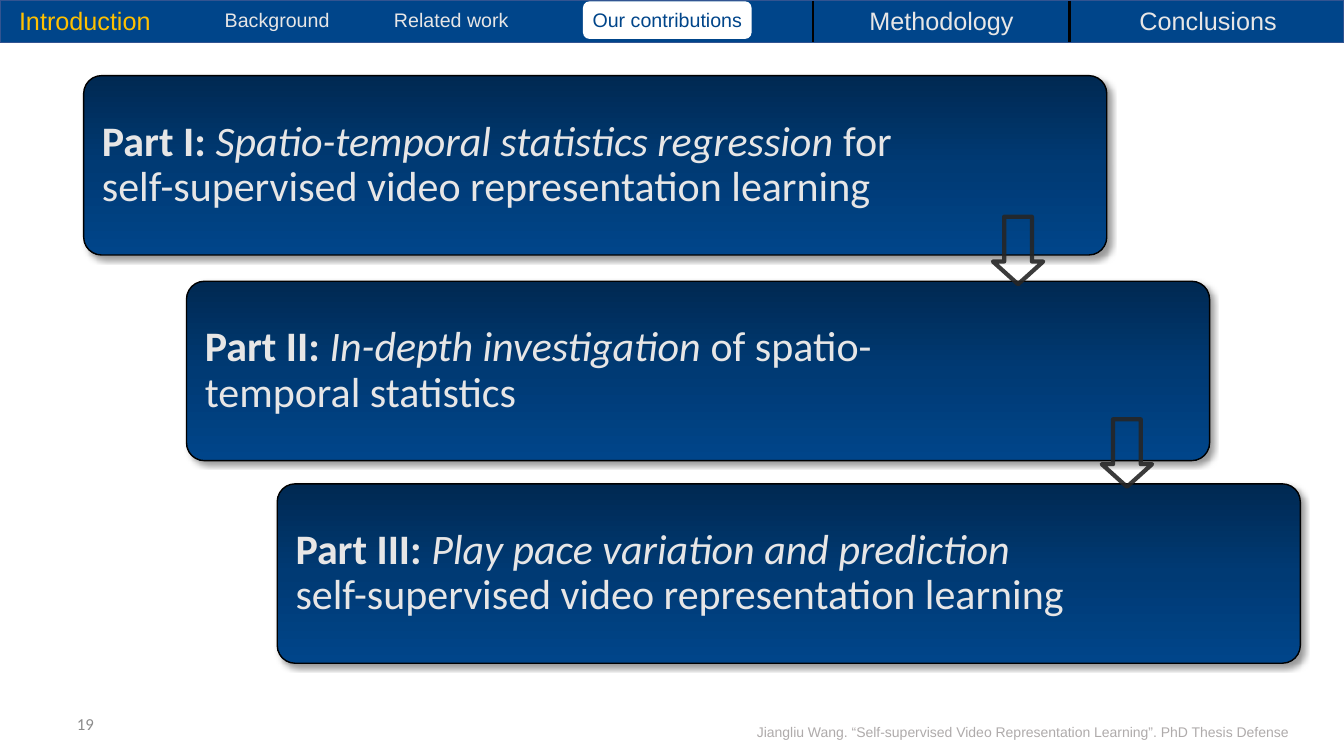
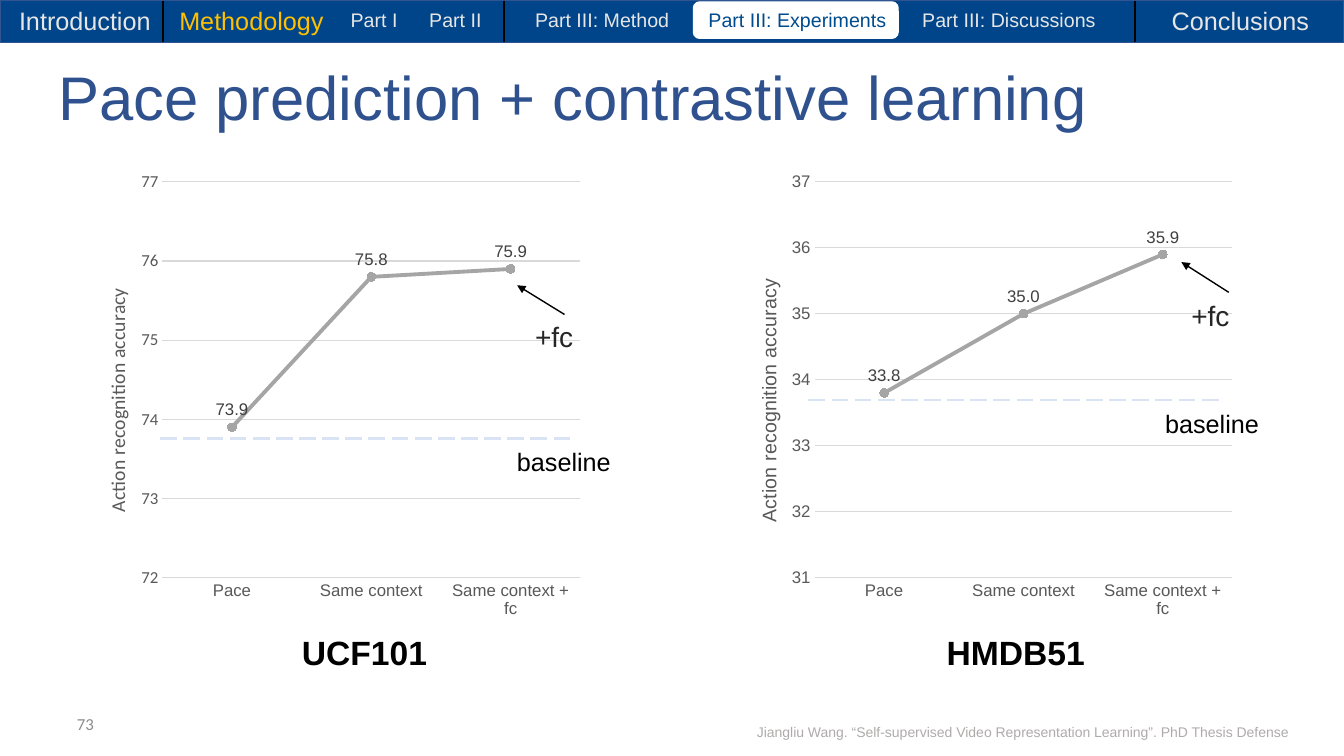
from copy import deepcopy

from lxml.etree import SubElement
from pptx import Presentation
from pptx.chart.data import CategoryChartData
from pptx.dml.color import RGBColor as Rgb
from pptx.enum.chart import XL_CHART_TYPE as ChartType
from pptx.enum.chart import XL_LABEL_POSITION as LabelPos
from pptx.enum.chart import XL_MARKER_STYLE as Marker
from pptx.enum.chart import XL_TICK_MARK as Tick
from pptx.enum.dml import MSO_LINE as Dash
from pptx.enum.shapes import MSO_CONNECTOR as Connector
from pptx.enum.shapes import MSO_SHAPE as Preset
from pptx.enum.text import MSO_ANCHOR as Anchor
from pptx.enum.text import PP_ALIGN as Align
from pptx.oxml.ns import qn
from pptx.util import Inches, Pt

# Grid: square cells, 133.33 columns by 75 rows
CELL = Inches(0.1)
COLS, ROWS = 133.33, 75
BAND_ROWS = 4.2

COLORS = {
    "navy": "00458A", "navy_mid": "003A74", "navy_dark": "002952",
    "band_edge": "325491", "title": "2F528F", "current": "FFC000",
    "pale": "E7E6E6", "pill_text": "004B8E", "white": "FFFFFF",
    "black": "000000", "ink": "262626", "label": "404040", "axis": "595959",
    "number": "8C8C8C", "footer": "AFABAB", "series": "A5A5A5",
    "grid": "D9D9D9", "baseline": "DAE3F3",
}
RGB = {name: Rgb.from_string(value) for name, value in COLORS.items()}


def add_box(page, area, spans=(), size=18, color="black", font="Arial",
            align=Align.LEFT, anchor=Anchor.TOP, preset=None, fill=None,
            line=None, width=1):
    """Add a text box, or a preset shape, at an area given in cells."""
    left, top, wide, high = (round(CELL * cells) for cells in area)
    if preset is None:
        box = page.shapes.add_textbox(left, top, wide, high)
    else:
        box = page.shapes.add_shape(preset, left, top, wide, high)
        box.shadow.inherit = False
        box.line.color.rgb = RGB[line]
        box.line.width = Pt(width)
        if fill:
            box.fill.solid()
            box.fill.fore_color.rgb = RGB[fill]
        else:
            box.fill.background()
    if spans:
        box.text_frame.word_wrap = True
        box.text_frame.vertical_anchor = anchor
        para = box.text_frame.paragraphs[0]
        para.alignment = align
        para.text = spans[0]
        for extra in spans[1:]:
            para.add_run().text = extra
        for span in para.runs:
            span.font.size = Pt(size)
            span.font.name = font
            span.font.color.rgb = RGB[color]
    return box


def add_line(page, ends, color="black", width=1.0, dash=None, arrow=False):
    """Add a straight line between two points given in cells."""
    line = page.shapes.add_connector(
        Connector.STRAIGHT, *(round(CELL * cells) for cells in ends))
    line.line.color.rgb = RGB[color]
    line.line.width = Pt(width)
    if dash:
        line.line.dash_style = dash
    properties = line._element.spPr
    if arrow:
        SubElement(properties.find(qn("a:ln")), qn("a:tailEnd"), type="triangle")
    SubElement(properties, qn("a:effectLst"))


deck = Presentation()
deck.slide_width, deck.slide_height = round(CELL * COLS), round(CELL * ROWS)

# Navigation per page: number, pill (left, width), dividers, and items
# (text, left, width, size, colour, alignment)
NAVIGATION = [
    (19, (57.9, 16.6), (80.7, 106.1), [
        ("Introduction", 0.9, 29.2, 18, "current", Align.LEFT),
        ("Background", 21, 13, 14, "pale", Align.CENTER),
        ("Related work", 38.1, 14.5, 14, "pale", Align.LEFT),
        ("Our contributions", 57.8, 29.2, 14, "navy", Align.LEFT),
        ("Methodology", 80.7, 25.4, 18, "pale", Align.CENTER),
        ("Conclusions", 106.4, 26.9, 18, "pale", Align.CENTER),
    ]),
    (73, (68.8, 20.3), (16.2, 50, 112.6), [
        ("Introduction", 0.9, 29.2, 18, "pale", Align.LEFT),
        ("Methodology", 15.8, 18.3, 18, "current", Align.CENTER),
        ("Part I", 33.8, 8.1, 14, "pale", Align.LEFT),
        ("Part II", 41.6, 8.4, 14, "pale", Align.LEFT),
        ("Part III: Method", 52.1, 16.5, 14, "pale", Align.LEFT),
        ("Part III: Experiments", 69.3, 20.8, 14, "pill_text", Align.LEFT),
        ("Part III: Discussions", 90.5, 20.5, 14, "pale", Align.LEFT),
        ("Conclusions", 112.8, 20.5, 18, "pale", Align.CENTER),
    ]),
]

# Shared band, footer and page number
pages = []
for number, (pill_left, pill_width), dividers, items in NAVIGATION:
    page = deck.slides.add_slide(deck.slide_layouts[6])
    pages.append(page)
    add_box(page, (0, 0, COLS, BAND_ROWS), preset=Preset.RECTANGLE,
            fill="navy", line="band_edge")
    add_box(page, (pill_left, 0.2, pill_width, 3.6),
            preset=Preset.ROUNDED_RECTANGLE, fill="white", line="white")
    for column in dividers:
        add_line(page, (column, 0.1, column, BAND_ROWS), width=1.5)
    for text, left, width, size, color, align in items:
        row = 0 if size == 18 else 0.3
        add_box(page, (left, row, width, 4 - 2 * row), (text,), size, color,
                align=align)
    add_box(page, (3.4, 69.8, 6.9, 4), (str(number),), 12, "number", "Calibri",
            Align.RIGHT, Anchor.MIDDLE)
    footer = add_box(
        page, (74.1, 70.9, 59, 3),
        ("Jiangliu Wang. “Self-supervised Video Representation Learning”. "
         "PhD Thesis Defense",), 10, "footer")
    footer.text_frame.paragraphs[0].line_spacing = 1.25

parts_page, results_page = pages

# Three parts on stepped cards
PARTS = [
    (8.3, 7.5, "Part I: ", "Spatio-temporal statistics regression ",
     "for self-supervised video representation learning"),
    (18.5, 27.9, "Part II: ", "In-depth investigation ",
     "of spatio-temporal statistics"),
    (27.5, 48, "Part III: ", "Play pace variation and prediction ",
     "self-supervised video representation learning"),
]
for left, top, *spans in PARTS:
    card = add_box(parts_page, (left, top, 101.5, 17.8), spans, 30, "pale",
                   "Calibri", anchor=Anchor.MIDDLE,
                   preset=Preset.ROUNDED_RECTANGLE, fill="navy", line="black")
    card.adjustments[0] = 0.1
    frame = card.text_frame
    frame.margin_left, frame.margin_right = round(CELL * 1.3), round(CELL * 20.5)
    para = frame.paragraphs[0]
    para.line_spacing = 0.9
    para.runs[0].font.bold = True
    para.runs[1].font.italic = True

    card.fill.gradient()
    card.fill.gradient_angle = 270
    stop_list = card._element.spPr.find(".//" + qn("a:gsLst"))
    stop_list.insert(1, deepcopy(stop_list[0]))
    shades = ("navy_dark", "navy_mid", "navy")
    for index, (stop, shade) in enumerate(zip(card.fill.gradient_stops, shades)):
        stop.position = index / 2
        stop.color.rgb = RGB[shade]

    effects = card._element.spPr.find(qn("a:effectLst"))
    shadow = SubElement(effects, qn("a:outerShdw"), blurRad=str(Pt(4)),
                        dist=str(Pt(3)), dir="2700000", rotWithShape="0")
    shade = SubElement(shadow, qn("a:srgbClr"), val=COLORS["black"])
    SubElement(shade, qn("a:alpha"), val="40000")

# Arrows from card to card
for left, top in ((98.5, 21.5), (109.3, 41.6)):
    arrow = add_box(parts_page, (left, top, 5, 6.7), preset=Preset.DOWN_ARROW,
                    line="ink", width=3)
    arrow.adjustments[0], arrow.adjustments[1] = 0.55, 0.45
    ink = arrow._element.spPr.find(qn("a:ln")).find(".//" + qn("a:srgbClr"))
    SubElement(ink, qn("a:alpha"), val="90000")

# Results title
title = add_box(results_page, (4.8, 4.7, 128, 10.6),
                ("Pace prediction + contrastive learning",), 44, "title",
                anchor=Anchor.MIDDLE)
title.text_frame.paragraphs[0].line_spacing = 0.9

# Results charts: data, axis range, then places of the marks around them
CHARTS = [
    dict(name="UCF101", left=7.4, values=(73.9, 75.8, 75.9), low=72, high=77,
         font="Calibri", title_share=0.26, caption=(15.2, 41.9),
         arrow=(56, 31.2, 51.3, 28.3), fc=(52.1, 31.2),
         dashes=(15.9, 57), base_row=43.5, base_left=50.3),
    dict(name="HMDB51", left=72.1, values=(33.8, 35, 35.9), low=31, high=37,
         font="Arial", title_share=0.24, caption=(80.2, 41.1),
         arrow=(121.9, 29, 117.2, 26), fc=(117.2, 29.1),
         dashes=(80.2, 121.3), base_row=39.7, base_left=114.6),
]
for item in CHARTS:
    data = CategoryChartData()
    data.categories = ("Pace", "Same context", "Same context + fc")
    data.add_series("Series 1", item["values"])
    area = (round(CELL * cells) for cells in (item["left"], 16.2, 51.2, 46.2))
    chart = results_page.shapes.add_chart(
        ChartType.LINE_MARKERS, *area, data).chart
    chart.has_title = chart.has_legend = False
    chart.font.name, chart.font.size = item["font"], Pt(12)
    chart.font.color.rgb = RGB["axis"]

    # Series and labels
    plot = chart.plots[0]
    plot.vary_by_categories = False
    series = plot.series[0]
    series.smooth = False
    series.format.line.color.rgb = RGB["series"]
    series.format.line.width = Pt(2.75)
    series.marker.style, series.marker.size = Marker.CIRCLE, 6
    series.marker.format.fill.solid()
    series.marker.format.fill.fore_color.rgb = RGB["series"]
    series.marker.format.line.color.rgb = RGB["series"]
    labels = series.data_labels
    labels.show_value = True
    labels.position = LabelPos.ABOVE
    labels.number_format, labels.number_format_is_linked = "0.0", False
    labels.font.name, labels.font.size = "Arial", Pt(12)
    labels.font.color.rgb = RGB["label"]

    # Axes
    categories, values = chart.category_axis, chart.value_axis
    for axis, font in ((categories, "Arial"), (values, item["font"])):
        axis.major_tick_mark = axis.minor_tick_mark = Tick.NONE
        axis.tick_labels.font.name = font
        axis.tick_labels.font.size = Pt(12)
        axis.tick_labels.font.color.rgb = RGB["axis"]
    categories.format.line.color.rgb = RGB["grid"]
    categories.format.line.width = Pt(1)
    values.format.line.fill.background()
    values.minimum_scale, values.maximum_scale = item["low"], item["high"]
    values.major_unit = 1
    values.tick_labels.number_format = "0"
    values.tick_labels.number_format_is_linked = False
    values.major_gridlines.format.line.color.rgb = RGB["grid"]
    values.major_gridlines.format.line.width = Pt(0.75)
    frame = values.axis_title.text_frame
    frame.text = "Action recognition accuracy"
    span = frame.paragraphs[0].runs[0]
    span.font.name, span.font.size = item["font"], Pt(14)
    span.font.bold = False
    span.font.color.rgb = RGB["axis"]
    turn = frame._txBody.find(qn("a:bodyPr"))
    turn.set("rot", "-5400000")
    turn.set("vert", "horz")

    # Fixed places for the plot and the axis title, as shares of the chart
    plot_area = chart._chartSpace.find(".//" + qn("c:plotArea"))
    axis_title = values._element.find(qn("c:title"))
    for parent, index, settings in (
            (plot_area, 0, dict(layoutTarget="inner", xMode="edge", yMode="edge",
                                x=0.17, y=0.04, w=0.81, h=0.85)),
            (axis_title, 1, dict(xMode="edge", yMode="edge", x=0.05,
                                 y=item["title_share"]))):
        for old in parent.findall(qn("c:layout")):
            parent.remove(old)
        layout = parent.makeelement(qn("c:layout"))
        parent.insert(index, layout)
        manual = SubElement(layout, qn("c:manualLayout"))
        for key, value in settings.items():
            SubElement(manual, qn("c:" + key), val=str(value))

    # Caption, baseline and arrow note
    left, width = item["caption"]
    caption = add_box(results_page, (left, 62.2, width, 5), (item["name"],), 24,
                      align=Align.CENTER)
    caption.text_frame.paragraphs[0].runs[0].font.bold = True
    start, end = item["dashes"]
    row = item["base_row"]
    add_line(results_page, (start, row, end, row), "baseline", 1.5,
             dash=Dash.LONG_DASH)
    add_box(results_page, (item["base_left"], row + 0.3, 13, 4), ("baseline",))
    add_line(results_page, item["arrow"], arrow=True)
    add_box(results_page, (*item["fc"], 9, 4.4), ("+fc",), 20, "ink")

deck.save("out.pptx")
